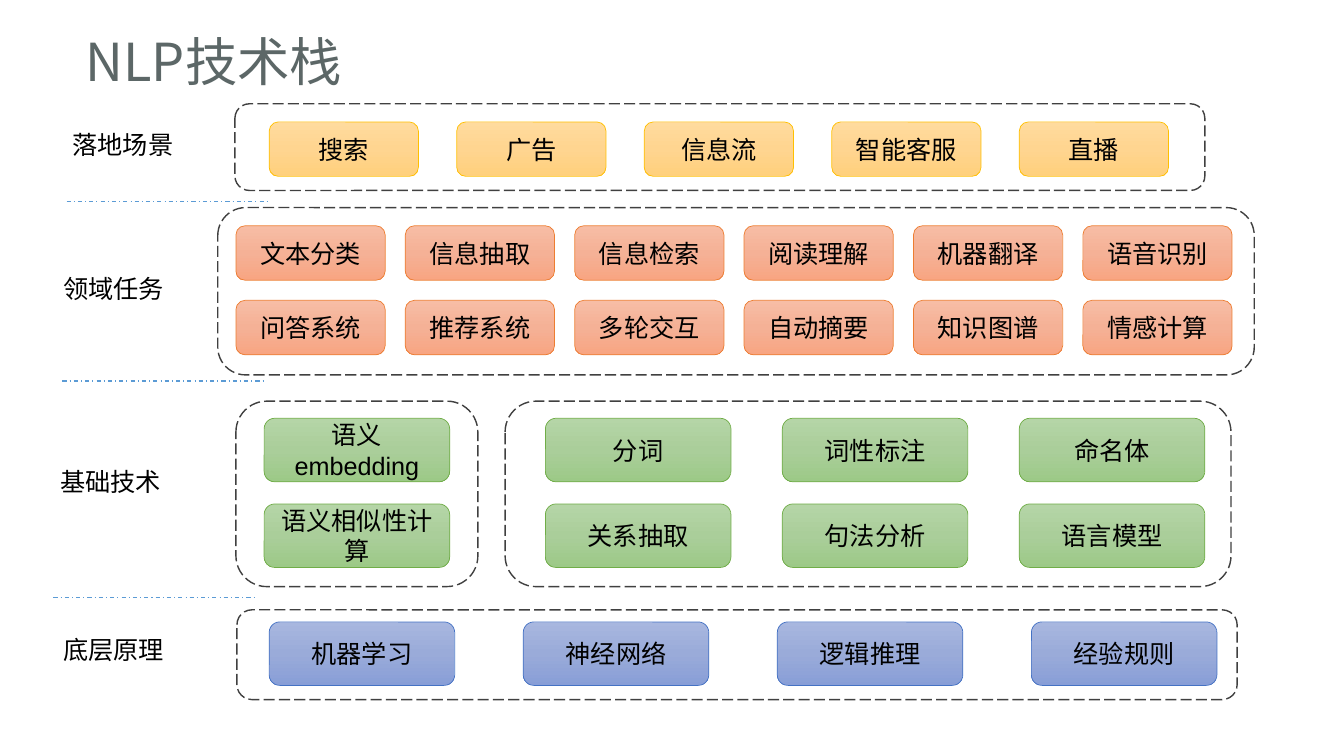
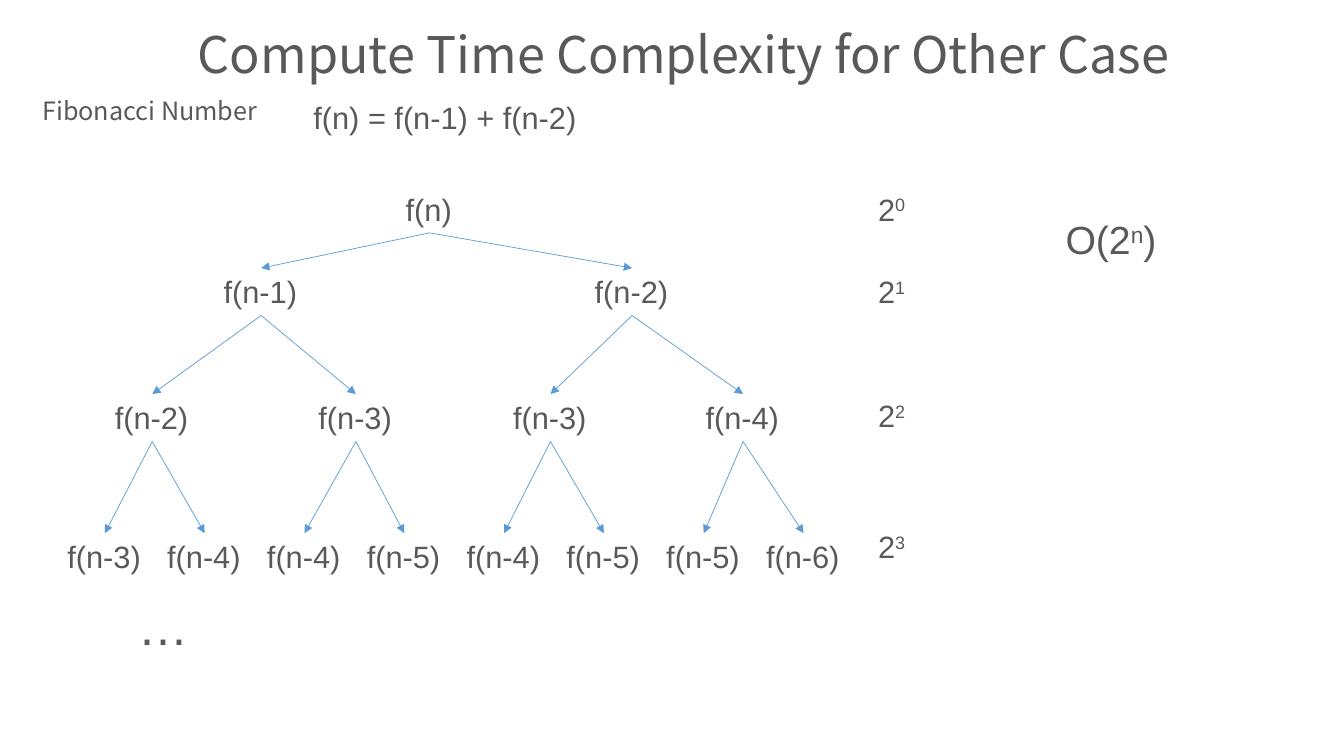
from copy import deepcopy
from pptx import Presentation
from pptx.dml.color import RGBColor
from pptx.enum.dml import MSO_LINE as Dash
from pptx.enum.shapes import MSO_CONNECTOR as Conn, MSO_SHAPE as Shape
from pptx.enum.text import MSO_ANCHOR as Anchor, MSO_AUTO_SIZE as Auto, PP_ALIGN as Align
from pptx.oxml.ns import qn
from pptx.util import Inches, Pt

# Shared style
HEX = {"ink": "000000", "text": "595959", "head": "5C6767",
       "frame": "404040", "line": "5B9BD5"}
TONES = {  # three gradient stops, then the outline
    "gold": ("FFDB9E", "FFD590", "FFD07C", "FFC000"),
    "red": ("F7BDA5", "F5B196", "F8A582", "ED7D31"),
    "green": ("B5D5A7", "AACE9A", "9CC987", "70AD47"),
    "blue": ("A8B7DF", "9AABD9", "889ED7", "4472C4"),
}
SANS, HEAD = "Arial", "Noto Sans CJK SC"

# Stack: (tone, left, top, column step, row step, rows of words)
SMALL, LARGE = (1.48, 0.54), (1.84, 0.63)
GRIDS = [
    ("gold", SMALL, 2.67, 1.21, 1.86, 0,
     [["搜索", "广告", "信息流", "智能客服", "直播"]]),
    ("red", SMALL, 2.34, 2.24, 1.68, 0.74,
     [["文本分类", "信息抽取", "信息检索", "阅读理解", "机器翻译", "语音识别"],
      ["问答系统", "推荐系统", "多轮交互", "自动摘要", "知识图谱", "情感计算"]]),
    ("green", LARGE, 2.62, 4.15, 0, 0.85, [["语义\nembedding"], ["语义相似性计算"]]),
    ("green", LARGE, 5.41, 4.15, 2.35, 0.85,
     [["分词", "词性标注", "命名体"], ["关系抽取", "句法分析", "语言模型"]]),
    ("blue", LARGE, 2.67, 6.17, 2.52, 0,
     [["机器学习", "神经网络", "逻辑推理", "经验规则"]]),
]
FRAMES = [(2.33, 1.03, 9.62, 0.86), (2.16, 2.06, 10.28, 1.66),
          (2.34, 3.98, 2.4, 1.84), (5.01, 3.98, 7.2, 1.84),
          (2.35, 6.05, 9.92, 0.89)]
LABELS = [("落地场景", 0.62, 1.23), ("领域任务", 0.53, 2.66),
          ("基础技术", 0.5, 4.58), ("底层原理", 0.53, 6.24)]
RULES = [(0.66, 2), (0.62, 3.78), (0.53, 5.93)]

# Tree: (top of level, centres of nodes, top of its count)
LEVELS = [
    (1.84, [4.26], 1.84),
    (2.66, [2.59, 6.27], 2.66),
    (3.91, [1.51, 3.53, 5.46, 7.37], 3.89),
    (5.29, [1.04 + 0.99 * i for i in range(8)], 5.19),
]
NODE_W, NODE_H = 0.94, 0.47


def rgb(code):
    return RGBColor.from_string(code)


def style(par, size, color, face=SANS, align=None):
    par.font.size, par.font.name = Pt(size), face
    par.font.color.rgb = rgb(color)
    par.alignment = align


def add_title(deck, text, box, size, color, pad, align):
    slide = deck.slides.add_slide(deck.slide_layouts[5])
    title = slide.shapes.title
    title.left, title.top, title.width, title.height = map(Inches, box)
    frame = title.text_frame
    frame.text = text
    frame.word_wrap, frame.auto_size = True, Auto.NONE
    frame.vertical_anchor = Anchor.TOP
    frame.margin_left = frame.margin_right = Inches(pad[0])
    frame.margin_top = frame.margin_bottom = Inches(pad[1])
    style(frame.paragraphs[0], size, color, HEAD, align)
    return slide


def add_text(slide, parts, box, size, color=HEX["text"], face=SANS, wrap=False):
    """Every second part is raised."""
    frame = slide.shapes.add_textbox(*map(Inches, box)).text_frame
    frame.word_wrap, frame.auto_size = wrap, Auto.SHAPE_TO_FIT_TEXT
    par = frame.paragraphs[0]
    style(par, size, color, face)
    for i, part in enumerate(parts):
        run = par.add_run()
        run.text = part
        if i % 2:
            run._r.get_or_add_rPr().set("baseline", "30000")


def add_line(slide, start, end, width, dash=None, arrow=False):
    link = slide.shapes.add_connector(Conn.STRAIGHT, *map(Inches, start + end))
    link.line.color.rgb, link.line.width = rgb(HEX["line"]), Pt(width)
    if dash:
        link.line.dash_style = dash
    props = link.element.spPr
    if arrow:
        tail = props.find(qn("a:ln")).makeelement(qn("a:tailEnd"), {"type": "triangle"})
        props.find(qn("a:ln")).append(tail)
    props.append(props.makeelement(qn("a:effectLst"), {}))


def add_round(slide, box, color, width):
    shape = slide.shapes.add_shape(Shape.ROUNDED_RECTANGLE, *map(Inches, box))
    shape.shadow.inherit = False
    shape.line.color.rgb, shape.line.width = rgb(color), Pt(width)
    return shape


def add_tile(slide, text, box, tone):
    *shades, edge = TONES[tone]
    tile = add_round(slide, box, edge, 0.5)
    tile.fill.gradient()
    tile.fill.gradient_angle = 270
    first = tile.element.spPr.find(qn("a:gradFill")).find(qn("a:gsLst"))[0]
    first.addnext(deepcopy(first))
    for i, (stop, shade) in enumerate(zip(tile.fill.gradient_stops, shades)):
        stop.color.rgb, stop.position = rgb(shade), i / 2
    tile.text_frame.text = text
    for par in tile.text_frame.paragraphs:
        style(par, 18, HEX["ink"], align=Align.CENTER)


def build_stack(deck):
    slide = add_title(deck, "NLP技术栈", (0.68, 0.21, 6.22, 0.8), 37.4,
                      HEX["head"], (0.17, 0.08), Align.LEFT)
    for tone, size, left, top, dx, dy, rows in GRIDS:
        for r, row in enumerate(rows):
            for c, word in enumerate(row):
                add_tile(slide, word, (left + c * dx, top + r * dy, *size), tone)
    for box in FRAMES:
        frame = add_round(slide, box, HEX["frame"], 1)
        frame.fill.background()
        frame.line.dash_style = Dash.LONG_DASH
    for word, x, y in LABELS:
        add_text(slide, [word], (x, y, 1.44, 0.4), 18, HEX["ink"], wrap=True)
    for x, y in RULES:
        add_line(slide, (x, y), (x + 2, y), 0.75, Dash.DASH_DOT)


def build_tree(deck):
    slide = add_title(deck, "Compute Time Complexity for Other Case",
                      (1.46, 0.18, 10.64, 0.71), 36, HEX["text"],
                      (0.05, 0.05), Align.CENTER)
    add_text(slide, ["Fibonacci Number"], (0.32, 0.9, 2.48, 0.4), 18,
             face=HEAD, wrap=True)
    add_text(slide, ["f(n) = f(n-1) + f(n-2)"], (3.01, 0.93, 2.85, NODE_H), 22)
    # Nodes and counts, then arrows from each parent
    drops = [0]
    for depth, (top, mids, mark) in enumerate(LEVELS):
        for drop, mid in zip(drops, mids):
            word, wide = (f"f(n-{drop})", NODE_W) if drop else ("f(n)", 0.67)
            add_text(slide, [word], (mid - wide / 2, top, wide, NODE_H), 22)
        add_text(slide, ["2", str(depth)], (8.61, mark, 0.49, NODE_H), 22)
        drops = [drop + step for drop in drops for step in (1, 2)]
    for (top, mids, _), (below, kids, _) in zip(LEVELS, LEVELS[1:]):
        for i, kid in enumerate(kids):
            add_line(slide, (mids[i // 2], top + NODE_H), (kid, below), 0.5, arrow=True)
    add_text(slide, ["…"], (1.27, 5.85, 0.71, 0.71), 36)
    add_text(slide, ["O(2", "n", ")"], (10.47, 2.09, 1.53, 0.57), 28, wrap=True)


def main():
    deck = Presentation()
    deck.slide_width, deck.slide_height = Inches(13.33), Inches(7.5)
    build_stack(deck)
    build_tree(deck)
    deck.save("out.pptx")


if __name__ == "__main__":
    main()
